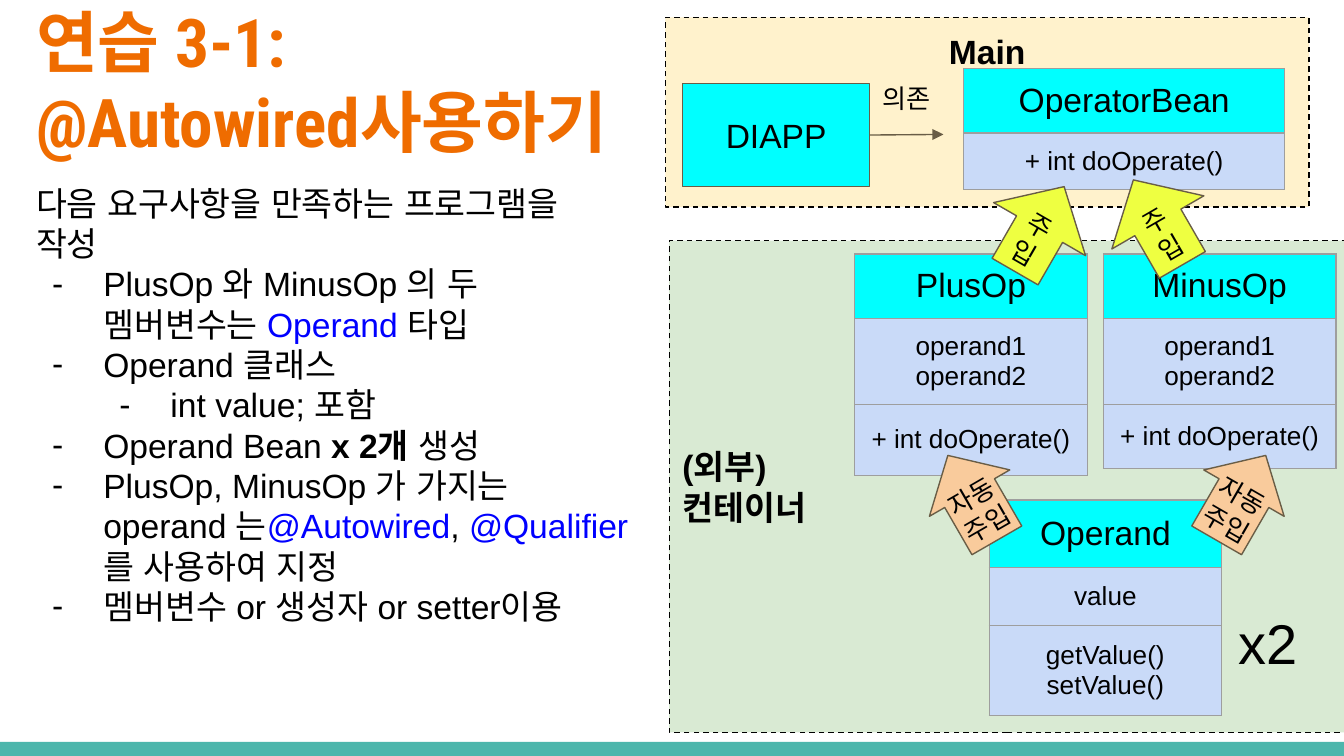
"""Build the @Autowired exercise slide with its dependency-injection diagram."""
from lxml import etree
from pptx import Presentation
from pptx.dml.color import RGBColor
from pptx.enum.dml import MSO_LINE
from pptx.enum.shapes import MSO_CONNECTOR, MSO_SHAPE
from pptx.enum.text import MSO_ANCHOR, PP_ALIGN
from pptx.oxml.ns import qn
from pptx.util import Inches, Pt

RECT, UP_ARROW = MSO_SHAPE.RECTANGLE, MSO_SHAPE.UP_ARROW
STRAIGHT, DASH = MSO_CONNECTOR.STRAIGHT, MSO_LINE.DASH
TOP, MIDDLE = MSO_ANCHOR.TOP, MSO_ANCHOR.MIDDLE
LEFT, CENTER = PP_ALIGN.LEFT, PP_ALIGN.CENTER
WIDTH = 10
HEIGHT = WIDTH * 9 / 16

THEME = dict(
    font="Arial", title_font="Roboto Condensed",
    text="000000", title="EF6C00", keyword="0000FF", bar="4DB6AC",
    main="FFF2CC", container="D9EAD3", head="00FFFF", member="C9DAF8",
    inject="EEFF41", auto="F9CB9C", outline="695D46", border="9E9E9E",
    title_size=36, count_size=30, body_size=18, small_size=14, line=0.75,
)
KEY = dict(color=THEME["keyword"])
BOLD = dict(bold=True)

TITLE = "연습 3-1:\n@Autowired사용하기"
INTRO = "다음 요구사항을 만족하는 프로그램을 작성"
REQUIREMENTS = [
    (0, [("PlusOp 와 MinusOp 의 두 멤버변수는 ", {}), ("Operand", KEY), (" 타입", {})]),
    (0, [("Operand 클래스", {})]),
    (1, [("int value; 포함", {})]),
    (0, [("Operand Bean ", {}), ("x 2개", BOLD), (" 생성", {})]),
    (0, [("PlusOp, MinusOp 가 가지는 operand 는", {}), ("@Autowired", KEY),
         (", ", {}), ("@Qualifier", KEY), (" 를 사용하여 지정", {})]),
    (0, [("멤버변수 or 생성자 or setter이용", {})]),
]
OPERATE = ["+ int doOperate()"]
OPERANDS = ["operand1", "operand2"]
BEANS = [
    (7.17, 0.51, 2.39, TOP, [(["OperatorBean"], 0.42), (OPERATE, 0.42)]),
    (6.36, 1.89, 1.73, MIDDLE, [(["PlusOp"], 0.44), (OPERANDS, 0.58), (OPERATE, 0.53)]),
    (8.21, 1.89, 1.73, MIDDLE, [(["MinusOp"], 0.4), (OPERANDS, 0.52), (OPERATE, 0.48)]),
]
OPERAND = (7.36, 3.72, 1.73, MIDDLE,
           [(["Operand"], 0.44), (["value"], 0.17), (["getValue()", "setValue()"], 0.53)])
INJECT_ARROWS = [((7.34, 1.34, 0.79, 0.73), 30), ((8.22, 1.29, 0.79, 0.73), 330)]
AUTO_ARROWS = [((8.89, 3.34, 0.69, 0.73), 30), ((6.89, 3.34, 0.69, 0.73), 330)]


def rgb(name):
    return RGBColor.from_string(THEME.get(name, name))


def add_text(p, text, size="body_size", color="text", bold=False, font="font"):
    for i, piece in enumerate(text.split("\n")):
        if i:
            p.add_line_break()
        r = p.add_run()
        r.text = piece
        r.font.size = Pt(THEME[size])
        r.font.bold = bold
        r.font.color.rgb = rgb(color)
        r.font.name = THEME[font]
        etree.SubElement(r.font._element, qn("a:ea"), typeface=THEME[font])


def fill_frame(tf, lines, align=LEFT, anchor=TOP, inset=0.1, **fmt):
    tf.word_wrap = True
    tf.vertical_anchor = anchor
    tf.margin_left = tf.margin_right = tf.margin_top = tf.margin_bottom = Inches(inset)
    for i, line in enumerate(lines):
        p = tf.add_paragraph() if i else tf.paragraphs[0]
        p.alignment = align
        add_text(p, line, **fmt)


def add_box(s, box, fill, line=None, dash=None, kind=RECT):
    sp = s.shapes.add_shape(kind, *map(Inches, box))
    sp.shadow.inherit = False
    sp.fill.solid()
    sp.fill.fore_color.rgb = rgb(fill)
    if line:
        sp.line.color.rgb = rgb(line)
        sp.line.width = Pt(THEME["line"])
        sp.line.dash_style = dash
    else:
        sp.line.fill.background()
    return sp


def add_label(s, box, lines, **fmt):
    tf = s.shapes.add_textbox(*map(Inches, box)).text_frame
    fill_frame(tf, lines, **fmt)
    return tf


def add_requirement(tf, level, runs):
    p = tf.add_paragraph()
    p.level = level
    pPr = p._p.get_or_add_pPr()
    pPr.set("marL", str(Inches(0.5 * (level + 1))))
    pPr.set("indent", str(Inches(-0.38)))
    color = etree.SubElement(pPr, qn("a:buClr"))
    etree.SubElement(color, qn("a:srgbClr"), val=THEME["text"])
    etree.SubElement(pPr, qn("a:buSzPts"), val=str(THEME["body_size"] * 100))
    etree.SubElement(pPr, qn("a:buFont"), typeface=THEME["font"])
    etree.SubElement(pPr, qn("a:buChar"), char="-")
    for text, fmt in runs:
        add_text(p, text, **fmt)


def add_borders(cell):
    tcPr = cell._tc.get_or_add_tcPr()
    for side in ("lnL", "lnR", "lnT", "lnB"):
        ln = etree.SubElement(tcPr, qn(f"a:{side}"), w=str(Pt(THEME["line"])))
        fill = etree.SubElement(ln, qn("a:solidFill"))
        etree.SubElement(fill, qn("a:srgbClr"), val=THEME["border"])


def add_bean(s, x, y, width, anchor, rows):
    height = sum(h for _, h in rows)
    table = s.shapes.add_table(len(rows), 1, *map(Inches, (x, y, width, height))).table
    table.first_row = table.horz_banding = False
    for i, (lines, h) in enumerate(rows):
        table.rows[i].height = Inches(h)
        cell = table.cell(i, 0)
        add_borders(cell)
        cell.fill.solid()
        cell.fill.fore_color.rgb = rgb("member" if i else "head")
        fill_frame(cell.text_frame, lines, align=CENTER,
                   size="small_size" if i else "body_size")
        cell.vertical_anchor = anchor
        cell.margin_left = cell.margin_right = Inches(0.1)
        cell.margin_top = cell.margin_bottom = Inches(0.1)


def add_arrows(s, arrows, text, fill, adjust, **fmt):
    for box, angle in arrows:
        sp = add_box(s, box, fill, "outline", kind=UP_ARROW)
        sp.adjustments[0], sp.adjustments[1] = adjust
        sp.rotation = angle
        fill_frame(sp.text_frame, [text], anchor=MIDDLE, size="small_size", **fmt)


def add_dependency(s, source, end):
    line = s.shapes.add_connector(STRAIGHT, 0, 0, *map(Inches, end))
    line.begin_connect(source, 3)
    line.line.color.rgb = rgb("outline")
    line.line.width = Pt(THEME["line"])
    etree.SubElement(line.line._get_or_add_ln(), qn("a:tailEnd"), type="triangle")
    etree.SubElement(line._element.spPr, qn("a:effectLst"))


def main():
    prs = Presentation()
    prs.slide_width, prs.slide_height = Inches(WIDTH), Inches(HEIGHT)
    s = prs.slides.add_slide(prs.slide_layouts[6])

    add_box(s, (0, 5.52, WIDTH, 0.11), "bar")
    container = add_box(s, (4.98, 1.79, 5.03, 3.66), "container", "text", DASH)
    fill_frame(container.text_frame, ["(외부)", "컨테이너"], anchor=MIDDLE, bold=True)
    main_box = add_box(s, (4.95, 0.13, 4.79, 1.41), "main", "text", DASH)
    fill_frame(main_box.text_frame, ["Main"], align=CENTER, bold=True)
    app = add_box(s, (5.08, 0.62, 1.39, 0.77), "head", "outline")
    fill_frame(app.text_frame, ["DIAPP"], align=CENTER, anchor=MIDDLE)

    for bean in BEANS:
        add_bean(s, *bean)
    add_dependency(s, app, (7.02, 1))
    add_arrows(s, INJECT_ARROWS, "주입", "inject", (0.5, 0.5))
    add_label(s, (6.47, 0.51, 0.76, 0.39), ["의존"], size="small_size")

    body = add_label(s, (0.17, 1.26, 4.61, 3.12), [INTRO])
    for level, runs in REQUIREMENTS:
        add_requirement(body, level, runs)
    add_label(s, (0.17, -0.1, 5.03, 1.41), [TITLE], size="title_size",
              color="title", bold=True, font="title_font")

    add_bean(s, *OPERAND)
    add_arrows(s, AUTO_ARROWS, "자동주입", "auto", (0.62, 0.47), align=CENTER, inset=0)
    add_label(s, (9.12, 4.43, 0.88, 0.77), ["x2"], size="count_size")
    prs.save("out.pptx")


if __name__ == "__main__":
    main()
